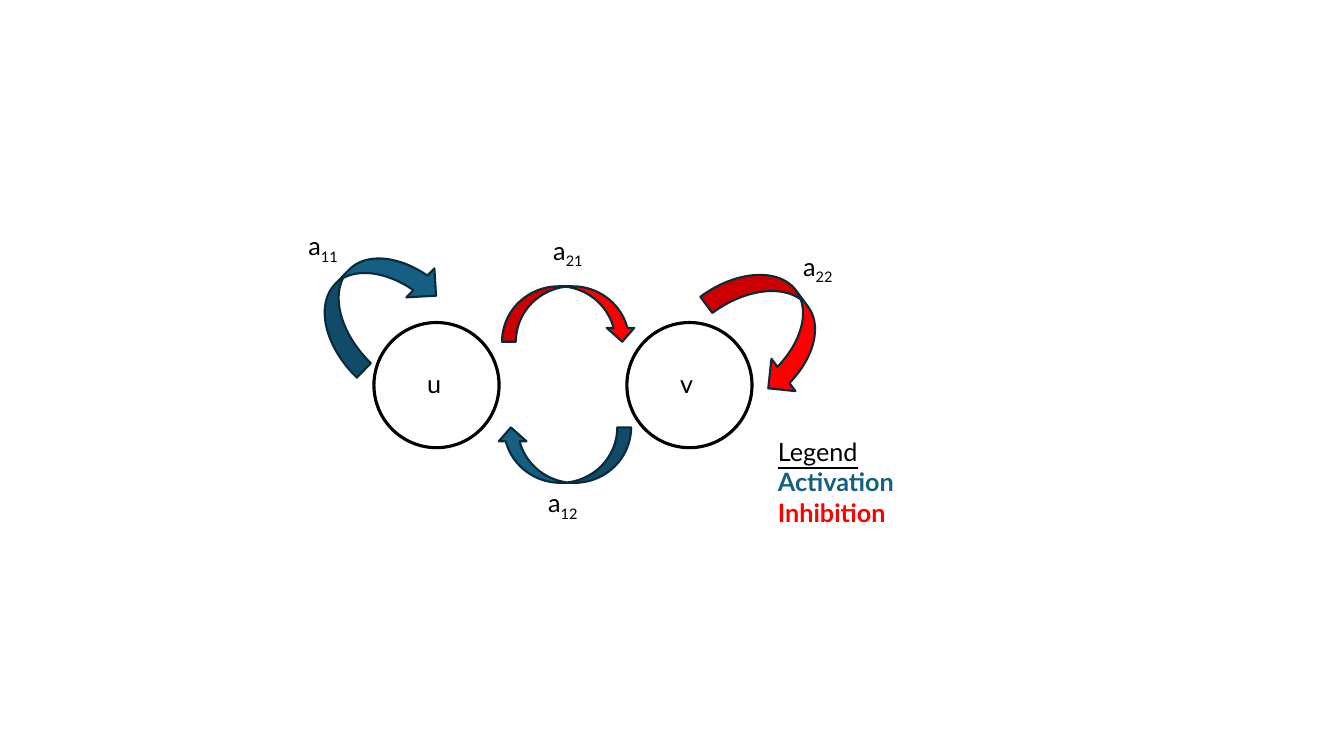
from dataclasses import dataclass

from pptx import Presentation
from pptx.dml.color import RGBColor
from pptx.enum.shapes import MSO_SHAPE as Shape
from pptx.enum.text import MSO_AUTO_SIZE as Fit
from pptx.slide import Slide
from pptx.text.text import TextFrame, _Paragraph as Para
from pptx.util import Pt

BLACK = RGBColor(0x00, 0x00, 0x00)
BLUE = RGBColor(0x15, 0x60, 0x82)
RED = RGBColor(0xFF, 0x00, 0x00)
EDGE = RGBColor(0x09, 0x2A, 0x39)

NODE_TOP = 230.4
NODE_SIZE = 89.4
ARROW_WIDTH = 95.8


@dataclass
class Node:
    name: str
    left: float


@dataclass
class Arrow:
    left: float
    top: float
    height: float
    turn: float
    color: RGBColor
    index: str
    label_left: float
    label_top: float


NODES = [Node("u", 267.1), Node("v", 447.8)]

ARROWS = [
    Arrow(219.6, 186.5, 57.6, 314, BLUE, "11", 213.1, 161.3),
    Arrow(504, 204.5, 57.6, 53.4, RED, "22", 566.6, 175.7),
    Arrow(358.6, 204.5, 39.6, 0, RED, "21", 388.1, 164.2),
    Arrow(355, 305.3, 39.6, 180, BLUE, "12", 384.5, 344.9),
]


def style(para: Para, color: RGBColor = BLACK) -> None:
    para.font.name = "Lato"
    para.font.size = Pt(18)
    para.font.color.rgb = color


def add_box(slide: Slide, left: float, top: float, width: float,
            height: float, wrap: bool = False) -> TextFrame:
    box = slide.shapes.add_textbox(Pt(left), Pt(top), Pt(width), Pt(height))
    frame = box.text_frame
    frame.word_wrap = wrap
    frame.auto_size = Fit.SHAPE_TO_FIT_TEXT
    return frame


def add_node(slide: Slide, node: Node) -> None:
    ring = slide.shapes.add_shape(Shape.OVAL, Pt(node.left), Pt(NODE_TOP),
                                  Pt(NODE_SIZE), Pt(NODE_SIZE))
    ring.shadow.inherit = False
    ring.fill.background()
    ring.line.color.rgb = BLACK
    ring.line.width = Pt(2.25)
    para = add_box(slide, node.left + 31, NODE_TOP + 29.5,
                   50.4, 28.8, wrap=True).paragraphs[0]
    para.text = node.name
    style(para)


def add_arrow(slide: Slide, arrow: Arrow) -> None:
    curve = slide.shapes.add_shape(Shape.CURVED_DOWN_ARROW, Pt(arrow.left),
                                   Pt(arrow.top), Pt(ARROW_WIDTH),
                                   Pt(arrow.height))
    curve.rotation = arrow.turn
    curve.shadow.inherit = False
    curve.fill.solid()
    curve.fill.fore_color.rgb = arrow.color
    curve.line.color.rgb = EDGE
    curve.line.width = Pt(1.5)


def add_label(slide: Slide, arrow: Arrow) -> None:
    para = add_box(slide, arrow.label_left, arrow.label_top,
                   37.4, 28.8).paragraphs[0]
    para.add_run().text = "a"
    index = para.add_run()
    index.text = arrow.index
    index._r.get_or_add_rPr().set("baseline", "-25000")
    style(para)


def add_legend(slide: Slide) -> None:
    frame = add_box(slide, 548.6, 308.2, 97.9, 72.7)
    frame.text = "Legend\nActivation\nInhibition"
    head, *kinds = frame.paragraphs
    style(head)
    head.font.underline = True
    for para, color in zip(kinds, (BLUE, RED)):
        style(para, color)
        para.font.bold = True


def main() -> None:
    deck = Presentation()
    deck.slide_width, deck.slide_height = Pt(960), Pt(540)
    slide = deck.slides.add_slide(deck.slide_layouts[6])

    # Two species
    for node in NODES:
        add_node(slide, node)

    # Interactions with their coefficients
    for arrow in ARROWS:
        add_arrow(slide, arrow)
        add_label(slide, arrow)

    # Colour key
    add_legend(slide)

    deck.save("out.pptx")


if __name__ == "__main__":
    main()
